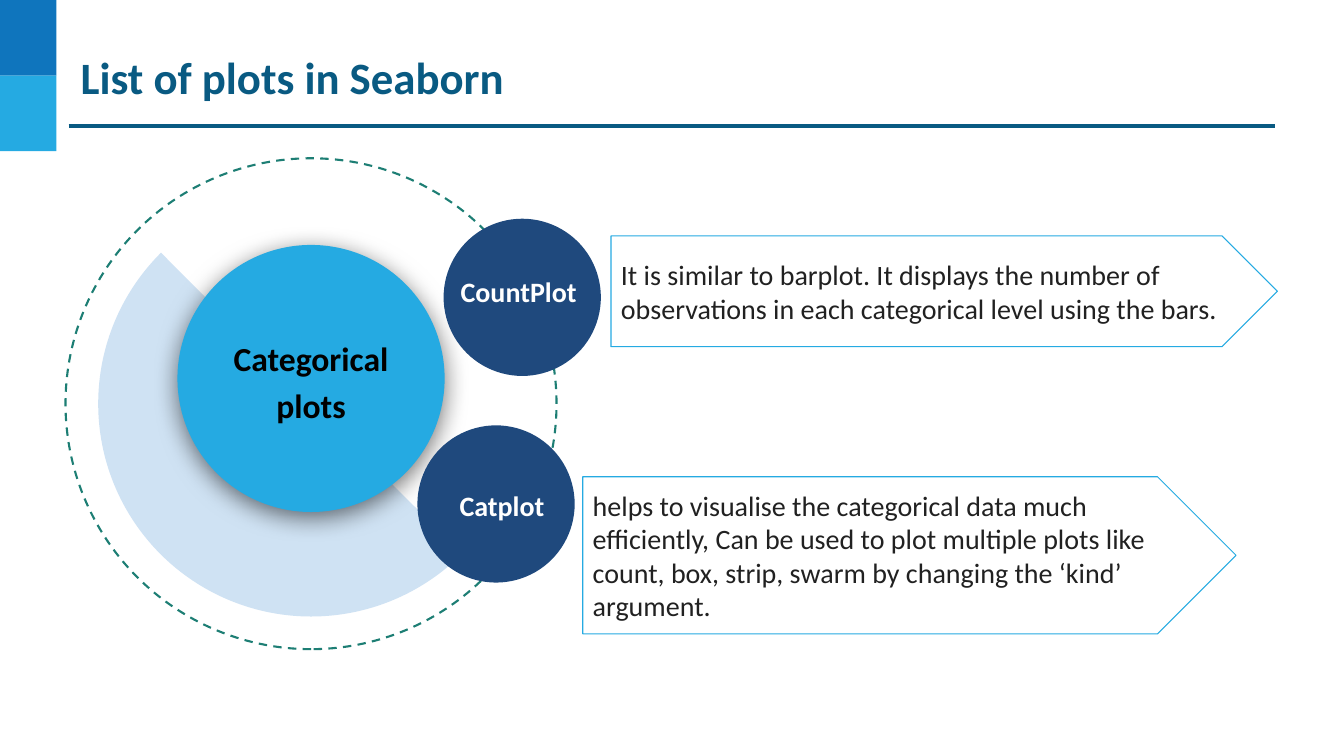
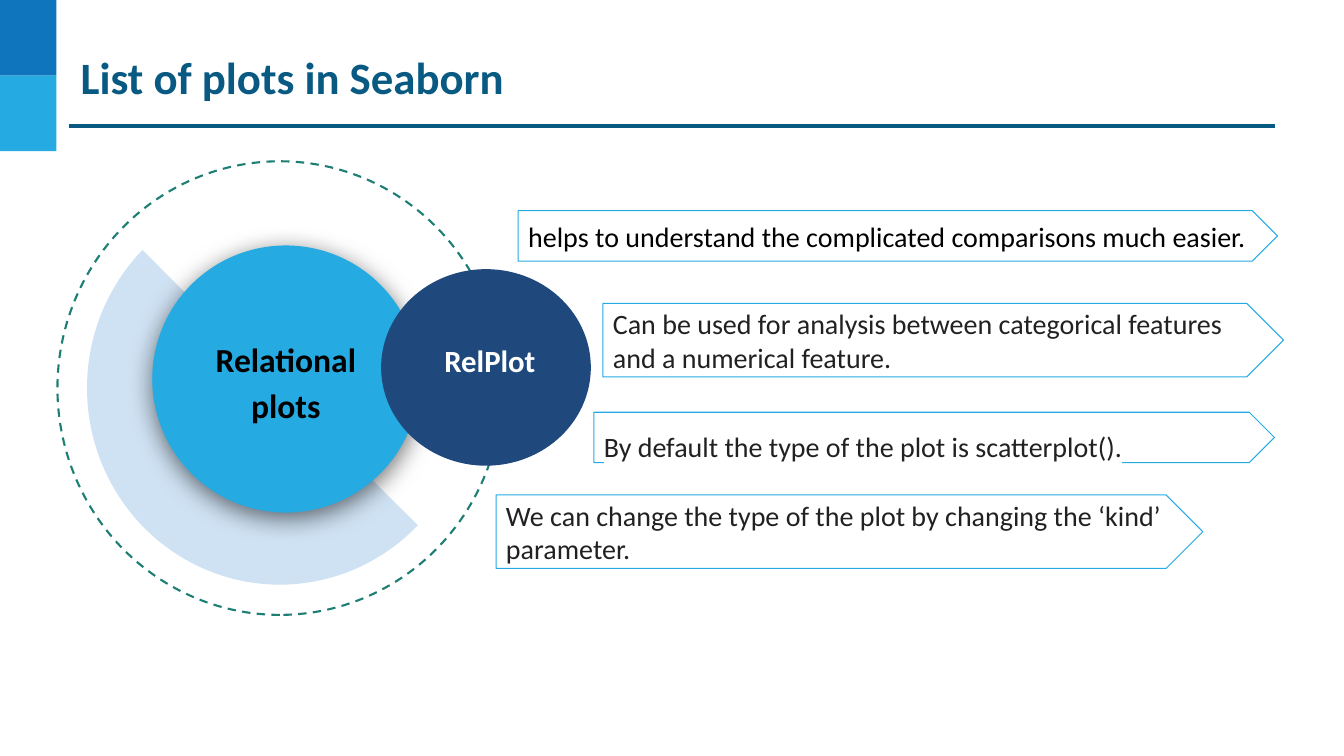
from dataclasses import dataclass

from lxml.etree import SubElement
from pptx import Presentation
from pptx.dml.color import RGBColor
from pptx.enum.dml import MSO_LINE
from pptx.enum.shapes import MSO_CONNECTOR, MSO_SHAPE
from pptx.enum.text import MSO_ANCHOR, MSO_AUTO_SIZE, PP_ALIGN
from pptx.oxml.ns import qn
from pptx.util import Inches, Pt


@dataclass(frozen=True)
class Theme:
    """Colours, font and type sizes of the presentation."""
    font: str = "Calibri"
    title: str = "095A82"
    band: str = "0F75BD"
    accent: str = "25AAE2"
    ring: str = "1D7E74"
    crescent: str = "CFE2F3"
    node: str = "1F497D"
    body: str = "212121"
    black: str = "000000"
    white: str = "FFFFFF"
    title_size: int = 32
    hub_size: int = 24
    large_label_size: int = 22
    body_size: int = 20


THEME = Theme()


def color(value):
    """Turn a hexadecimal string into a colour."""
    return RGBColor.from_string(value)


def write_text(shape, text, *, size=THEME.body_size, ink=THEME.body, bold=False,
               align=PP_ALIGN.LEFT, anchor=MSO_ANCHOR.MIDDLE, margin=0.1,
               spacing=None, highlight=None):
    """Put one formatted paragraph into a shape."""
    frame = shape.text_frame
    frame.word_wrap = True
    frame.auto_size = MSO_AUTO_SIZE.NONE
    frame.vertical_anchor = anchor
    frame.margin_left = frame.margin_right = Inches(margin)
    frame.margin_top = frame.margin_bottom = Inches(margin)
    paragraph = frame.paragraphs[0]
    paragraph.alignment = align
    paragraph.line_spacing = spacing
    run = paragraph.add_run()
    run.text = text
    run.font.name = THEME.font
    run.font.size = Pt(size)
    run.font.bold = bold
    run.font.color.rgb = color(ink)
    if highlight:
        properties = run.font._element
        mark = SubElement(properties, qn("a:highlight"))
        SubElement(mark, qn("a:srgbClr"), val=highlight)
        properties.find(qn("a:solidFill")).addnext(mark)


def add_figure(slide, kind, box, *, fill=None, line=None, width=0.75):
    """Draw a preset shape with a plain fill and outline."""
    shape = slide.shapes.add_shape(kind, *map(Inches, box))
    shape.shadow.inherit = False
    if fill:
        shape.fill.solid()
        shape.fill.fore_color.rgb = color(fill)
    else:
        shape.fill.background()
    if line:
        shape.line.color.rgb = color(line)
        shape.line.width = Pt(width)
    else:
        shape.line.fill.background()
    return shape


def add_glow(shape):
    """Give a shape a soft dark shadow below it."""
    effects = shape.element.spPr.find(qn("a:effectLst"))
    shadow = SubElement(effects, qn("a:outerShdw"), blurRad=str(Pt(18)),
                        dist=str(Pt(4)), dir="5400000", algn="ctr", rotWithShape="0")
    ink = SubElement(shadow, qn("a:srgbClr"), val=THEME.black)
    SubElement(ink, qn("a:alpha"), val="54000")


def decorate_layout(slide):
    """Draw the bands and the title rule, then move them to the layout."""
    side = 0.75
    parts = [add_figure(slide, MSO_SHAPE.RECTANGLE, (0, index * side, 0.56, side), fill=fill)
             for index, fill in enumerate((THEME.band, THEME.accent))]
    rule = slide.shapes.add_connector(
        MSO_CONNECTOR.STRAIGHT, *map(Inches, (0.68, 1.25, 12.65, 1.25)))
    rule.line.color.rgb = color(THEME.title)
    rule.line.width = Pt(2.25)
    SubElement(rule.element.spPr, qn("a:effectLst"))
    tree = slide.slide_layout.shapes.element
    for number, part in enumerate([*parts, rule], 101):
        part.element.xpath(".//p:cNvPr")[0].set("id", str(number))
        tree.append(part.element)


def add_title(slide, text, box=(0.78, 0.34, 12.29, 0.83)):
    """Place and fill the title placeholder."""
    title = slide.shapes.title
    title.left, title.top, title.width, title.height = map(Inches, box)
    write_text(title, text, size=THEME.title_size, ink=THEME.title, bold=True, margin=0.02)


def add_hub(slide, box, text, core_shift):
    """Draw the dashed ring, the crescent and the named core in a box."""
    left, top, width, height = box
    center_x, center_y = left + width / 2, top + height / 2

    def centered(w, h, shift=(0, 0)):
        """Return a box of this size around the shifted centre."""
        return center_x + shift[0] - w / 2, center_y + shift[1] - h / 2, w, h

    ring = add_figure(slide, MSO_SHAPE.OVAL, centered(height, width),
                      line=THEME.ring, width=1.5)
    ring.rotation = 270
    ring.line.dash_style = MSO_LINE.DASH
    crescent = add_figure(slide, MSO_SHAPE.PIE, centered(width * 0.867, height * 0.867),
                          fill=THEME.crescent)
    crescent.adjustments[0] = 26.9
    crescent.adjustments[1] = 135.11
    core = add_figure(slide, MSO_SHAPE.OVAL, centered(2.65, 2.65, core_shift),
                      fill=THEME.accent)
    add_glow(core)
    write_text(core, text, size=THEME.hub_size, ink=THEME.black, bold=True,
               align=PP_ALIGN.CENTER, margin=0.06, spacing=1.15)


def add_node(slide, box, text, label_box, **style):
    """Draw a dark circle with its label, placed relative to the circle."""
    add_figure(slide, MSO_SHAPE.OVAL, box, fill=THEME.node)
    left, top, width, height = label_box
    label = slide.shapes.add_textbox(
        *map(Inches, (box[0] + left, box[1] + top, width, height)))
    write_text(label, text, ink=THEME.white, bold=True, anchor=MSO_ANCHOR.TOP, **style)


def add_note(slide, box, text, **style):
    """Draw an outlined arrow box with its explanation."""
    note = add_figure(slide, MSO_SHAPE.PENTAGON, box, line=THEME.accent)
    note.adjustments[0] = 0.5
    write_text(note, text, **style)


def add_categorical(slide):
    """Build the slide on categorical plots."""
    add_title(slide, "List of plots in Seaborn")
    add_hub(slide, (0.65, 1.57, 4.87, 4.87), "Categorical plots", (0, -0.25))
    add_note(slide, (6.06, 2.34, 6.61, 1.1),
             "It is similar to barplot. It displays the number of observations "
             "in each categorical level using the bars.")
    add_node(slide, (4.4, 2.17, 1.56, 1.56), "CountPlot", (0.07, 0.45, 1.56, 0.77))
    add_node(slide, (4.14, 4.22, 1.56, 1.56), "Catplot ", (0.23, 0.53, 1.28, 0.77),
             align=PP_ALIGN.CENTER)
    add_note(slide, (5.78, 4.73, 6.48, 1.56),
             "helps to visualise the categorical data much efficiently, Can be used to "
             "plot multiple plots like count, box, strip, swarm by changing the ‘kind’ argument.")


def add_relational(slide):
    """Build the slide on relational plots."""
    add_title(slide, "List of plots in Seaborn")
    add_hub(slide, (0.57, 1.6, 4.41, 4.5), "Relational plots", (0.06, -0.09))
    add_node(slide, (3.78, 2.67, 2.08, 1.95), "RelPlot", (0.53, 0.62, 1.56, 0.81),
             size=THEME.large_label_size)
    add_note(slide, (5.14, 2.09, 7.53, 0.5),
             "helps to understand the complicated comparisons much easier.", ink=THEME.black)
    add_note(slide, (5.98, 3.01, 6.75, 0.73),
             "Can be used for analysis between categorical features and a numerical feature.")
    add_note(slide, (5.89, 4.09, 6.75, 0.5),
             "By default the type of the plot is scatterplot().",
             spacing=1.5, highlight=THEME.white)
    add_note(slide, (4.92, 4.91, 7.01, 0.73),
             "We can change the type of the plot by changing the ‘kind’ parameter.")


def main():
    """Build and save the presentation."""
    presentation = Presentation()
    presentation.slide_width = Inches(13.33)
    presentation.slide_height = Inches(7.5)
    layout = presentation.slide_layouts.get_by_name("Title Only")
    slides = [presentation.slides.add_slide(layout) for _ in range(2)]
    decorate_layout(slides[0])
    add_categorical(slides[0])
    add_relational(slides[1])
    presentation.save("out.pptx")


if __name__ == "__main__":
    main()
